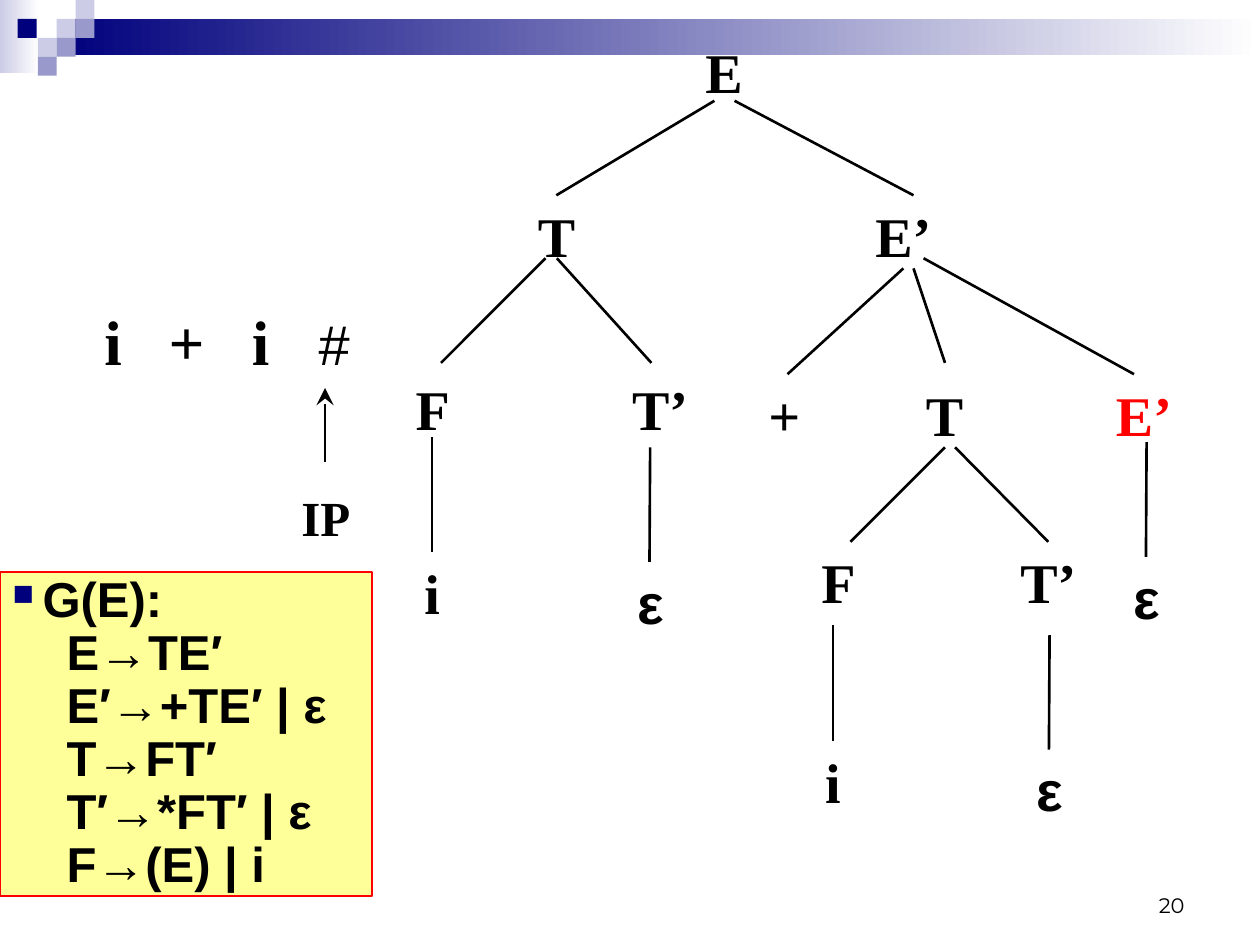
from lxml import etree
from pptx import Presentation
from pptx.dml.color import RGBColor
from pptx.enum.shapes import MSO_CONNECTOR as Connector, MSO_SHAPE as Shape
from pptx.enum.text import MSO_ANCHOR as Anchor, MSO_AUTO_SIZE as AutoSize, PP_ALIGN as Align
from pptx.oxml.ns import qn
from pptx.util import Inches, Pt

COLORS = {"black": "000000", "white": "FFFFFF", "red": "FF0000", "navy": "00007D",
          "lilac": "CCCCE6", "violet": "9999CC", "yellow": "FFFF99"}
SERIF, SANS, NUMBER_FONT = "Times New Roman", "Arial", "Montserrat"

BANDS = [((0, 0, 0.31, 0.58), "lilac"), ((0.45, 0.15, 9.55, 0.29), "navy")]
TILE = 0.15
TILES = [(0.45, 0.15, "lilac"), (0.6, 0, "lilac"), (0.6, 0.15, "violet"),
         (0.3, 0.3, "lilac"), (0.14, 0.15, "navy"), (0.45, 0.3, "violet"),
         (0.3, 0.45, "violet")]

NODE_HEIGHT = 0.64
NODE_WIDTHS = {"E": 0.49, "T": 0.49, "F": 0.47, "E’": 0.66, "T’": 0.66,
               "+": 0.45, "i": 0.32, "ε": 0.39}
NODES = [
    ("E", 5.5, 0.25, "black"),
    ("T", 4.17, 1.55, "black"), ("E’", 6.84, 1.55, "black"),
    ("F", 3.2, 2.92, "black"), ("T’", 4.91, 2.92, "black"),
    ("+", 6, 2.97, "black"), ("T", 7.25, 2.97, "black"), ("E’", 8.75, 2.97, "red"),
    ("i", 3.27, 4.38, "black"), ("ε", 4.96, 4.46, "black"),
    ("F", 6.42, 4.3, "black"), ("T’", 7.99, 4.3, "black"), ("ε", 8.9, 4.42, "black"),
    ("i", 6.45, 5.88, "black"), ("ε", 8.13, 5.95, "black"),
]
EDGES = [
    ((5.67, 0.8), (4.42, 1.55)), ((5.83, 0.8), (7.25, 1.55)),
    ((4.33, 2.05), (3.5, 2.88)), ((4.42, 2.05), (5.17, 2.88)),
    ((7.17, 2.13), (6.25, 2.97)), ((7.25, 2.13), (7.5, 2.88)), ((7.33, 2.05), (9, 2.97)),
    ((7.5, 3.55), (6.75, 4.3)), ((7.58, 3.55), (8.33, 4.3)),
    ((3.43, 3.47), (3.43, 4.38)), ((5.16, 3.55), (5.16, 4.47)), ((9.1, 3.51), (9.1, 4.43)),
    ((6.61, 4.96), (6.61, 5.88)), ((8.33, 5.04), (8.33, 5.96)),
]
POINTER = ((2.58, 3.67), (2.58, 3.08))
JOIN_TOLERANCE = Inches(0.02)

GRAMMAR = ["G(E):", "E→TE′", "E′→+TE′ | ε", "T→FT′", "T′→*FT′ | ε", "F→(E) | i"]
HEADING_INDENT, RULE_INDENT = 0.24, 0.43


def rgb(name):
    return RGBColor.from_string(COLORS[name])


def box(left, top, width, height):
    return [Inches(value) for value in (left, top, width, height)]


def add_rectangle(slide, place, color):
    shape = slide.shapes.add_shape(Shape.RECTANGLE, *box(*place))
    shape.shadow.inherit = False
    shape.fill.solid()
    shape.fill.fore_color.rgb = rgb(color)
    shape.line.fill.background()
    return shape


def add_band(slide, place, color):
    fill = add_rectangle(slide, place, color).fill
    fill.gradient()
    fill.gradient_angle = 0
    for stop, name, position in zip(fill.gradient_stops, (color, "white"), (0, 1)):
        stop.color.rgb = rgb(name)
        stop.position = position


def format_text(paragraph, text, size=32, font=SERIF, color="black", bold=True,
                align=Align.CENTER):
    paragraph.alignment = align
    run = paragraph.add_run()
    run.text = text
    run.font.size = Pt(size)
    run.font.name = font
    run.font.bold = bold
    run.font.color.rgb = rgb(color)


def add_text(slide, text, place, wrap=False, anchor=Anchor.TOP, tabs=(), **style):
    shape = slide.shapes.add_textbox(*box(*place))
    frame = shape.text_frame
    frame.word_wrap = wrap
    frame.vertical_anchor = anchor
    if not wrap:
        frame.auto_size = AutoSize.SHAPE_TO_FIT_TEXT
    paragraph = frame.paragraphs[0]
    if tabs:
        tab_list = etree.SubElement(paragraph._p.get_or_add_pPr(), qn("a:tabLst"))
        for position in tabs:
            etree.SubElement(tab_list, qn("a:tab"), pos=str(Inches(position)), algn="l")
    format_text(paragraph, text, **style)
    return shape


def add_line(slide, start, end, arrow=False):
    points = [Inches(value) for value in (*start, *end)]
    line = slide.shapes.add_connector(Connector.STRAIGHT, *points)
    line.line.color.rgb = rgb("black")
    line.line.width = Pt(1.5)
    if arrow:
        etree.SubElement(line.line._get_or_add_ln(), qn("a:tailEnd"),
                         type="stealth", w="lg", len="lg")
    etree.SubElement(line._element.spPr, qn("a:effectLst"))
    return line


def add_tree(slide):
    nodes = []
    for label, left, top, color in NODES:
        place = (left, top, NODE_WIDTHS[label], NODE_HEIGHT)
        font = SANS if label == "ε" else SERIF
        nodes.append(add_text(slide, label, place, font=font, color=color))
    for start, end in EDGES:
        line = add_line(slide, start, end)
        for node in nodes:
            middle = node.left + node.width // 2
            if max(abs(line.end_x - middle), abs(line.end_y - node.top)) < JOIN_TOLERANCE:
                line.end_connect(node, 0)
                break


def add_grammar(slide):
    shape = add_rectangle(slide, (0, 4.54, 2.95, 2.57), "yellow")
    shape.line.color.rgb = rgb("red")
    shape.line.width = Pt(1)
    frame = shape.text_frame
    frame.word_wrap = True
    frame.vertical_anchor = Anchor.MIDDLE
    for index, text in enumerate(GRAMMAR):
        paragraph = frame.add_paragraph() if index else frame.paragraphs[0]
        paragraph.line_spacing = 0.9
        properties = paragraph._p.get_or_add_pPr()
        properties.set("marL", str(Inches(RULE_INDENT if index else HEADING_INDENT)))
        properties.set("indent", str(0 if index else -Inches(HEADING_INDENT)))
        if index == 0:
            bullet_color = etree.SubElement(properties, qn("a:buClr"))
            etree.SubElement(bullet_color, qn("a:srgbClr"), val=COLORS["navy"])
            etree.SubElement(properties, qn("a:buSzPct"), val="60000")
            etree.SubElement(properties, qn("a:buChar"), char="■")
        format_text(paragraph, text, size=28, font=SANS, align=Align.LEFT)


def main():
    presentation = Presentation()
    presentation.slide_width = Inches(10)
    presentation.slide_height = Inches(7.5)
    slide = presentation.slides.add_slide(presentation.slide_layouts[6])
    for place, color in BANDS:
        add_band(slide, place, color)
    for left, top, color in TILES:
        add_rectangle(slide, (left, top, TILE, TILE), color)
    add_text(slide, "20", (7.17, 6.83, 2.33, 0.5), wrap=True, anchor=Anchor.BOTTOM,
             size=12, font=NUMBER_FONT, bold=False, align=Align.RIGHT)
    add_text(slide, "i\t+\ti", (0.73, 2.35, 1.86, 0.7), wrap=True, tabs=(0.51, 1.17),
             size=36, align=Align.LEFT)
    add_text(slide, "#", (2.43, 2.41, 0.45, 0.64), font=SANS, bold=False, align=Align.LEFT)
    add_line(slide, *POINTER, arrow=True)
    add_text(slide, "IP", (2.29, 3.82, 0.59, 0.57), size=28)
    add_tree(slide)
    add_grammar(slide)
    presentation.save("out.pptx")


if __name__ == "__main__":
    main()
